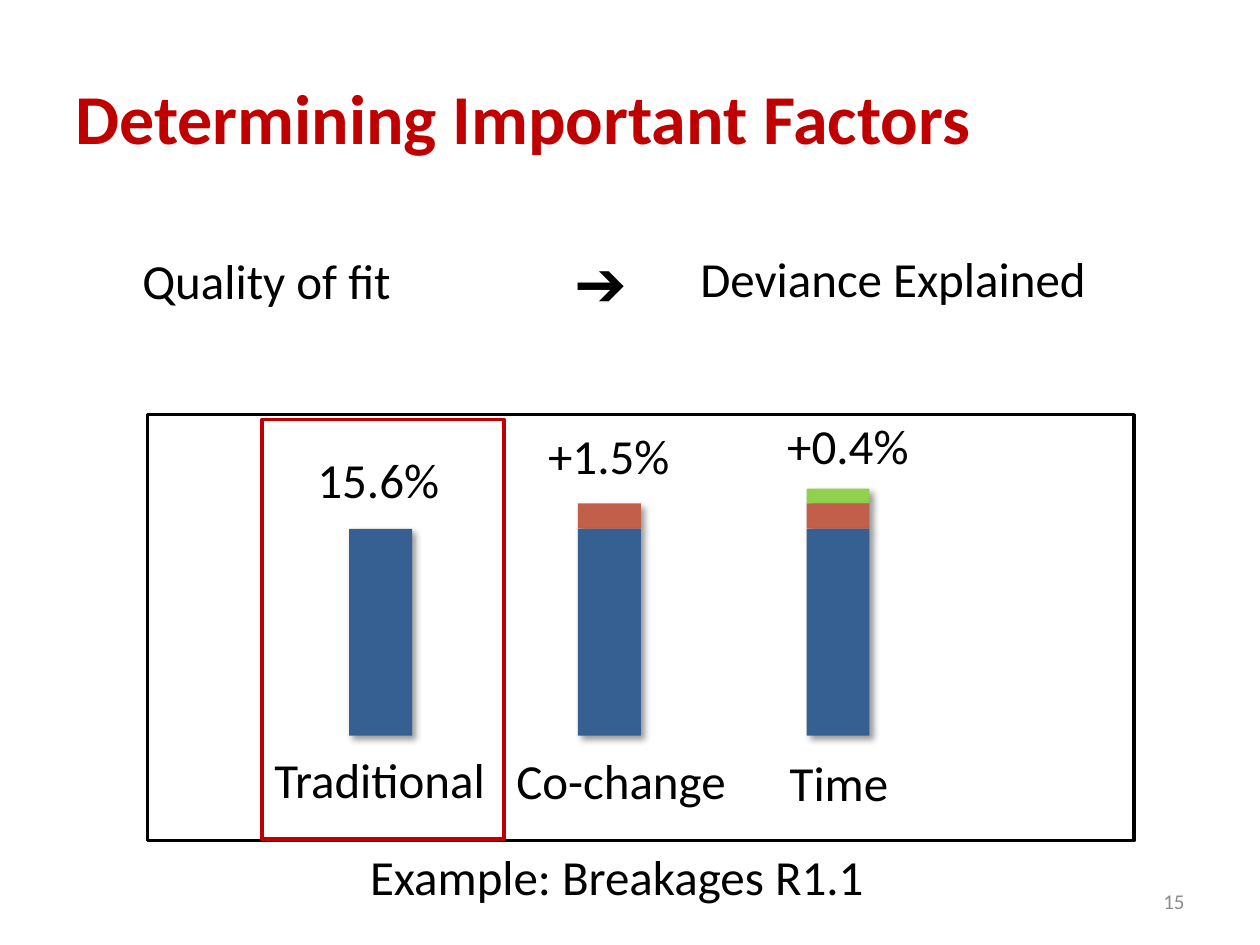
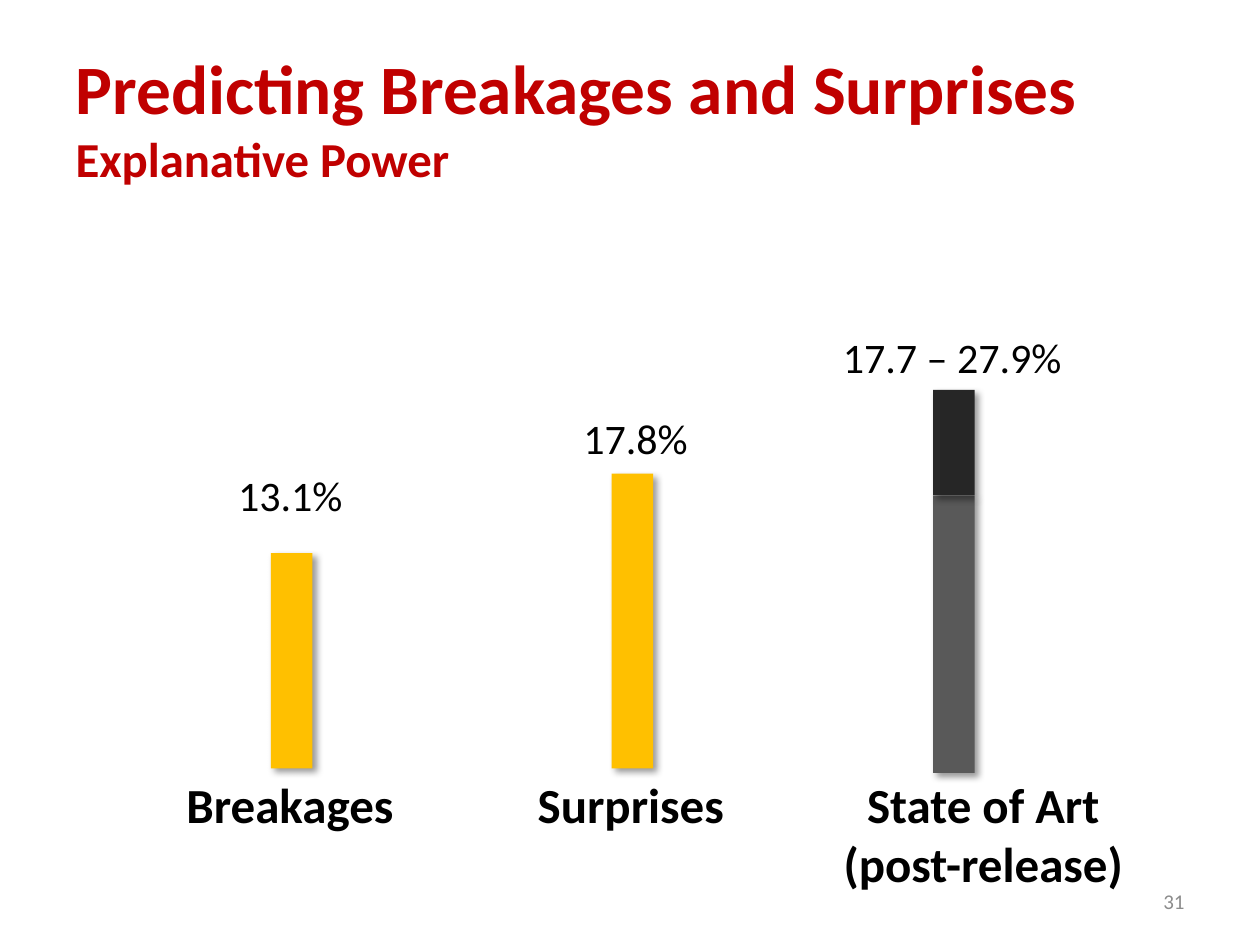
from lxml.etree import SubElement
from pptx import Presentation
from pptx.dml.color import RGBColor
from pptx.enum.shapes import MSO_SHAPE as Preset
from pptx.enum.text import MSO_ANCHOR as Anchor, MSO_AUTO_SIZE as AutoSize, PP_ALIGN as Align
from pptx.oxml.ns import qn
from pptx.util import Cm, Pt

FONT = "Calibri"
BLACK, RED, PAGE_GREY = "000000", "C00000", "8C8C8C"
BLUE, RUST, GREEN = "376092", "C15F4B", "92D050"
AMBER, GREY, CHARCOAL = "FFC000", "595959", "262626"


def color(code):
    return RGBColor.from_string(code)


def place(*lengths):
    return [Cm(length) for length in lengths]


class Deck:
    def __init__(self):
        self.prs = Presentation()
        self.prs.slide_width, self.prs.slide_height = place(25.4, 19.05)
        self.slide = None

    def new_slide(self, title, sizes, number):
        self.slide = self.prs.slides.add_slide(self.prs.slide_layouts[5])
        heading = self.slide.shapes.title
        heading.left, heading.top, heading.width, heading.height = place(1.27, 0.76, 22.86, 3.18)
        frame = heading.text_frame
        frame.paragraphs[0].text = title
        frame.auto_size = AutoSize.NONE
        frame.vertical_anchor = Anchor.MIDDLE
        self.style(frame, sizes, RED, True, Align.LEFT)
        page = self.text(str(number), 18.21, 17.65, 5.92, 1.02, 12, PAGE_GREY, align=Align.RIGHT)
        page.auto_size = AutoSize.NONE
        page.word_wrap = True
        page.vertical_anchor = Anchor.MIDDLE

    def style(self, frame, sizes, ink, bold, align):
        paragraph = frame.paragraphs[0]
        paragraph.alignment = align
        for run, size in zip(paragraph.runs, sizes):
            run.font.name = FONT
            run.font.size = Pt(size)
            run.font.bold = bold
            run.font.color.rgb = color(ink)

    def text(self, words, left, top, width, height=1.45, size=28, ink=BLACK,
             bold=False, align=Align.LEFT):
        frame = self.slide.shapes.add_textbox(*place(left, top, width, height)).text_frame
        frame.paragraphs[0].text = words
        frame.word_wrap = False
        frame.auto_size = AutoSize.SHAPE_TO_FIT_TEXT
        self.style(frame, [size] * 2, ink, bold, align)
        return frame

    def rectangle(self, left, top, width, height):
        shape = self.slide.shapes.add_shape(Preset.RECTANGLE, *place(left, top, width, height))
        shape.shadow.inherit = False
        return shape

    def outline(self, left, top, width, height, ink):
        shape = self.rectangle(left, top, width, height)
        shape.fill.background()
        shape.line.color.rgb = color(ink)
        shape.line.width = Pt(2)

    def bar(self, left, top, width, height, ink):
        shape = self.rectangle(left, top, width, height)
        shape.fill.solid()
        shape.fill.fore_color.rgb = color(ink)
        shape.line.fill.background()
        effects = shape._element.spPr.find(qn("a:effectLst"))
        shadow = SubElement(effects, qn("a:outerShdw"), blurRad=str(Pt(4)), dist=str(Pt(3)),
                            dir="2700000", algn="tl", rotWithShape="0")
        black = SubElement(shadow, qn("a:srgbClr"), val=BLACK)
        SubElement(black, qn("a:alpha"), val="40000")

    def stack(self, left, base, width, parts):
        top = base - sum(height for height, _ in parts)
        for height, ink in reversed(parts):
            self.bar(left, top, width, height, ink)
            top += height


def important_factors(deck):
    deck.new_slide("Determining Important Factors", [40], 15)
    deck.text("Quality of fit", 2.62, 4.93, 5.56)
    arrow = deck.text("➔", 11.33, 4.78, 1.75, 1.8, 36)
    arrow.word_wrap = True
    deck.text("Deviance Explained", 13.87, 4.88, 8.36)
    deck.outline(2.97, 8.36, 19.89, 8.59, BLACK)

    deviance = [(4.17, BLUE), (0.51, RUST), (0.3, GREEN)]
    factors = [
        ("Traditional", 5.28, 14.99, 4.8, "15.6%", 6.15, 8.94),
        ("Co-change", 10.16, 15.01, 4.78, "+1.5%", 10.8, 8.46),
        ("Time", 15.67, 15.04, 2.51, "+0.4%", 15.62, 8.26),
    ]
    for i, (factor, left, top, width, gain, gain_left, gain_top) in enumerate(factors):
        deck.stack(7.04 + 4.61 * i, 14.83, 1.27, deviance[:i + 1])
        deck.text(factor, left, top, width)
        deck.text(gain, gain_left, gain_top, 3)

    deck.text("Example: Breakages R1.1", 7.21, 16.94, 10.57)
    deck.outline(5.28, 8.46, 4.88, 8.46, RED)


def explanative_power(deck):
    deck.new_slide("Predicting Breakages and Surprises\nExplanative Power", [39.6, 27.9], 31)
    models = [
        ("Breakages", 3.51, 4.75, "13.1%", 4.55, 9.35, 2.64, 5.46, 4.34),
        ("Surprises", 10.59, 4.32, "17.8%", 11.51, 8.2, 2.64, 12.33, 5.94),
    ]
    for model, left, width, power, power_left, power_top, power_width, bar_left, height in models:
        deck.text(model, left, 15.49, width, bold=True)
        deck.text(power, power_left, power_top, power_width, 1.27, 24)
        deck.stack(bar_left, 15.49, 0.84, [(height, AMBER)])

    deck.text("State of Art\n(post-release)", 16.71, 15.49, 6.22, 2.64, bold=True,
              align=Align.CENTER)
    deck.text("17.7 – 27.9%", 16.74, 6.55, 4.95, 1.27, 24)
    deck.bar(18.81, 9.99, 0.84, 5.59, GREY)
    deck.bar(18.81, 7.86, 0.84, 2.13, CHARCOAL)


def main():
    deck = Deck()
    important_factors(deck)
    explanative_power(deck)
    deck.prs.save("out.pptx")


if __name__ == "__main__":
    main()
